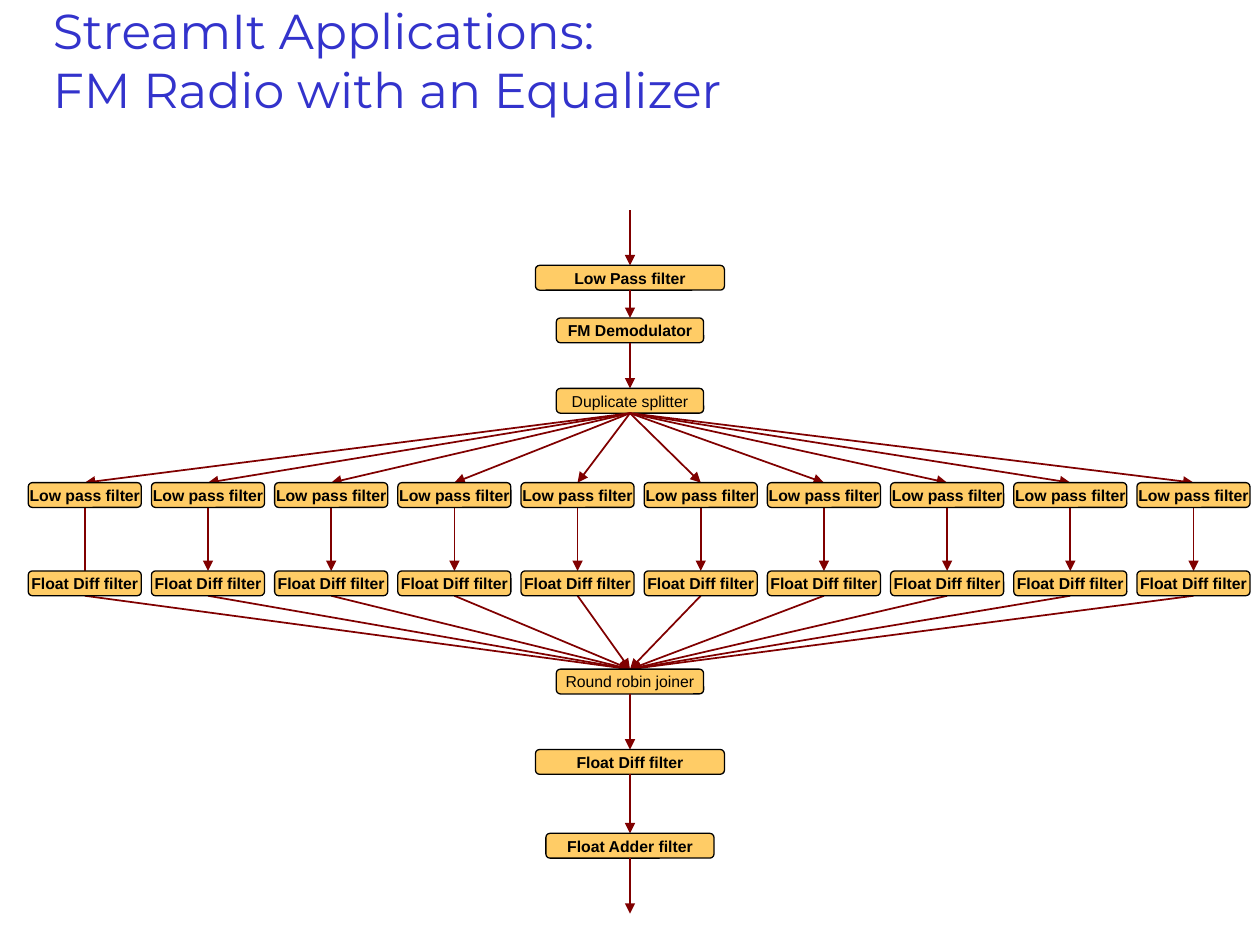
import copy

import pptx
import pptx.dml.color
import pptx.enum.shapes
import pptx.enum.text
import pptx.oxml
import pptx.oxml.ns
import pptx.util
from pptx.util import Cm

CENTER = 12.7
BOX_HEIGHT = 0.5
BRANCH_WIDTH = 2.28
BRANCH_COUNT = 10
FIRST_BRANCH, LAST_BRANCH = 1.71, 24.06
FLOW_START, FLOW_END = 4.24, 18.42
LOW_PASS_TOP, DIFF_TOP = 9.73, 11.51
SPLITTER_TOP, JOINER_TOP = 7.83, 13.49

BEFORE_BRANCHES = [
    ("Low Pass filter", 5.35, 3.81, True),
    ("FM Demodulator", 6.41, 2.97, True),
    ("Duplicate splitter", SPLITTER_TOP, 2.97, False),
]
AFTER_BRANCHES = [
    ("Round robin joiner", JOINER_TOP, 2.97, False),
    ("Float Diff filter", 15.11, 3.81, True),
    ("Float Adder filter", 16.8, 3.39, True),
]


def color(value):
    """Turn a hex string into a colour."""
    return pptx.dml.color.RGBColor.from_string(value)


def write(frame, text, font="Arial", size=9, bold=False, ink="000000", align="CENTER", wrap=False):
    """Put formatted text in a frame, with the same format on its line breaks."""
    frame.word_wrap = wrap
    frame.auto_size = pptx.enum.text.MSO_AUTO_SIZE.NONE
    frame.vertical_anchor = pptx.enum.text.MSO_ANCHOR.MIDDLE
    para = frame.paragraphs[0]
    para.text = text
    para.alignment = pptx.enum.text.PP_ALIGN[align]
    for span in para.runs:
        span.font.name = font
        span.font.size = pptx.util.Pt(size)
        span.font.bold = bold
        span.font.color.rgb = color(ink)
    for line_break in para._p.findall(pptx.oxml.ns.qn("a:br")):
        line_break.append(copy.deepcopy(para.runs[0]._r.rPr))


def add_title(page, text):
    """Place and fill the title placeholder."""
    title = page.shapes.title
    title.left, title.top, title.width, title.height = Cm(0.81), Cm(0.36), Cm(24.18), Cm(1.68)
    write(title.text_frame, text, font="Montserrat", size=28, ink="3333CC", align="LEFT", wrap=True)


def add_box(page, text, center, top, width, bold=True):
    """Draw one stage of the stream graph."""
    box = page.shapes.add_shape(
        pptx.enum.shapes.MSO_SHAPE.ROUNDED_RECTANGLE,
        Cm(center - width / 2), Cm(top), Cm(width), Cm(BOX_HEIGHT))
    box.shadow.inherit = False
    box.fill.solid()
    box.fill.fore_color.rgb = color("FFCC66")
    box.line.color.rgb = color("000000")
    box.line.width = pptx.util.Pt(0.75)
    write(box.text_frame, text, bold=bold)


def add_arrow(page, start, end):
    """Draw an arrow between two points."""
    arrow = page.shapes.add_connector(
        pptx.enum.shapes.MSO_CONNECTOR.STRAIGHT, *(Cm(length) for length in start + end))
    arrow.line.color.rgb = color("800000")
    arrow.line.width = pptx.util.Pt(1)
    namespace = pptx.oxml.ns.nsdecls("a")
    arrow.line._get_or_add_ln().append(
        pptx.oxml.parse_xml(f'<a:tailEnd {namespace} type="triangle"/>'))
    arrow._element.spPr.append(pptx.oxml.parse_xml(f"<a:effectLst {namespace}/>"))


def add_chain(page, stages, start, end=None):
    """Draw stages down the centre, joined by arrows."""
    for text, top, width, bold in stages:
        add_arrow(page, (CENTER, start), (CENTER, top))
        add_box(page, text, CENTER, top, width, bold)
        start = top + BOX_HEIGHT
    if end is not None:
        add_arrow(page, (CENTER, start), (CENTER, end))


def add_branches(page):
    """Draw the parallel filter pairs between splitter and joiner."""
    pitch = (LAST_BRANCH - FIRST_BRANCH) / (BRANCH_COUNT - 1)
    for index in range(BRANCH_COUNT):
        center = FIRST_BRANCH + index * pitch
        diff_bottom = DIFF_TOP + BOX_HEIGHT
        filter_end = DIFF_TOP if index else diff_bottom
        add_arrow(page, (CENTER, SPLITTER_TOP + BOX_HEIGHT), (center, LOW_PASS_TOP))
        add_arrow(page, (center, LOW_PASS_TOP + BOX_HEIGHT), (center, filter_end))
        add_arrow(page, (center, diff_bottom), (CENTER, JOINER_TOP))
        add_box(page, "Low pass filter", center, LOW_PASS_TOP, BRANCH_WIDTH)
        add_box(page, "Float Diff filter", center, DIFF_TOP, BRANCH_WIDTH)


def main():
    """Build the slide and save the deck."""
    deck = pptx.Presentation()
    deck.slide_width, deck.slide_height = Cm(25.4), Cm(19.05)
    page = deck.slides.add_slide(deck.slide_layouts.get_by_name("Title Only"))
    add_title(page, "StreamIt Applications:\vFM Radio with an Equalizer")
    add_chain(page, BEFORE_BRANCHES, FLOW_START)
    add_branches(page)
    first_text, first_top, first_width, first_bold = AFTER_BRANCHES[0]
    add_box(page, first_text, CENTER, first_top, first_width, first_bold)
    add_chain(page, AFTER_BRANCHES[1:], JOINER_TOP + BOX_HEIGHT, FLOW_END)
    deck.save("out.pptx")


if __name__ == "__main__":
    main()
